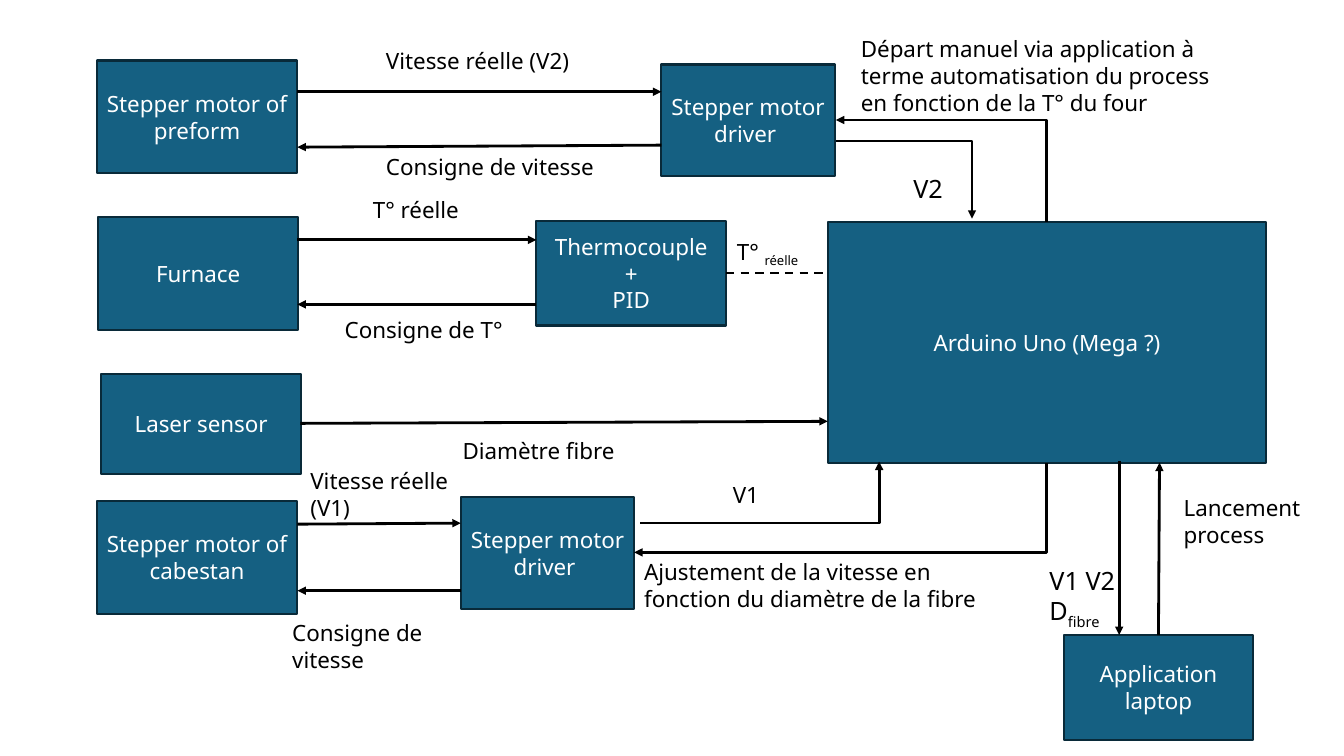
import pptx
import pptx.util
import pptx.dml.color
import pptx.enum.dml
import pptx.enum.shapes
import pptx.enum.text
import pptx.oxml.ns
import pptx.oxml.xmlchemy

Inches = pptx.util.Inches
Pt = pptx.util.Pt
qn = pptx.oxml.ns.qn
new_element = pptx.oxml.xmlchemy.OxmlElement
COLORS = {"box": "156082", "border": "092A39", "ink": "000000", "box_text": "FFFFFF"}
FONT = "Noto Sans"


def color(name):
    return pptx.dml.color.RGBColor.from_string(COLORS[name])


def style_runs(text_frame, size, ink):
    for paragraph in text_frame.paragraphs:
        for run in paragraph.runs:
            run.font.name = FONT
            run.font.size = Pt(size)
            run.font.color.rgb = color(ink)


deck = pptx.Presentation()
deck.slide_width = Inches(13.33)
deck.slide_height = Inches(7.5)
diagram = deck.slides.add_slide(deck.slide_layouts[6])

blocks = [
    ("Application laptop", 10.55, 6.3, 1.88, 1.04),
    ("Stepper motor of preform", 0.96, 0.6, 1.99, 1.12),
    ("Stepper motor of cabestan", 0.96, 4.97, 1.99, 1.12),
    ("Furnace", 0.97, 2.15, 1.99, 1.12),
    ("Laser sensor", 1, 3.71, 1.99, 0.99),
    ("Arduino Uno (Mega ?)", 8.21, 2.2, 4.35, 2.39),
    ("Stepper motor driver ", 4.57, 4.93, 1.72, 1.11),
    ("Thermocouple +\nPID", 5.32, 2.19, 1.88, 1.04),
    ("Stepper motor driver ", 6.56, 0.64, 1.72, 1.11),
]
for name, left, top, width, height in blocks:
    block = diagram.shapes.add_shape(
        pptx.enum.shapes.MSO_SHAPE.RECTANGLE,
        Inches(left), Inches(top), Inches(width), Inches(height))
    block.shadow.inherit = False
    block.fill.solid()
    block.fill.fore_color.rgb = color("box")
    block.line.color.rgb = color("border")
    block.line.width = Pt(1.5)
    block.text_frame.text = name
    block.text_frame.vertical_anchor = pptx.enum.text.MSO_ANCHOR.MIDDLE
    for paragraph in block.text_frame.paragraphs:
        paragraph.alignment = pptx.enum.text.PP_ALIGN.CENTER
    style_runs(block.text_frame, 16, "box_text")

signals = [
    ("straight", "tailEnd", 11.1, 4.57, 11.1, 6.3),
    ("straight", "tailEnd", 11.49, 6.3, 11.5, 4.59),
    ("straight", "tailEnd", 2.95, 5.2, 4.57, 5.19),
    ("straight", "tailEnd", 4.57, 5.86, 2.95, 5.86),
    ("straight", "tailEnd", 2.95, 2.38, 5.32, 2.38),
    ("straight", "tailEnd", 5.32, 3.02, 2.95, 3.02),
    ("straight", "tailEnd", 2.98, 4.2, 8.21, 4.18),
    ("straight", "tailEnd", 2.95, 0.91, 6.56, 0.91),
    ("straight", "tailEnd", 6.56, 1.44, 2.95, 1.46),
    ("straight", None, 7.2, 2.71, 8.17, 2.71),
    ("elbow", "headEnd", 8.29, 1.19, 10.38, 2.2),
    ("elbow", "headEnd", 6.29, 5.48, 10.38, 4.59),
    ("elbow", "tailEnd", 6.35, 5.19, 8.72, 4.58),
    ("elbow", "tailEnd", 8.29, 1.4, 9.64, 2.17),
]
routes = {
    "straight": pptx.enum.shapes.MSO_CONNECTOR.STRAIGHT,
    "elbow": pptx.enum.shapes.MSO_CONNECTOR.ELBOW,
}
for route, arrow_end, x1, y1, x2, y2 in signals:
    signal = diagram.shapes.add_connector(
        routes[route], Inches(x1), Inches(y1), Inches(x2), Inches(y2))
    signal.line.color.rgb = color("ink")
    properties = signal._element.spPr
    if route == "elbow":
        properties.find(qn("a:prstGeom")).set("prst", "bentConnector2")
    if arrow_end:
        signal.line.width = Pt(2)
        arrowhead = new_element("a:" + arrow_end)
        arrowhead.set("type", "triangle")
        properties.find(qn("a:ln")).append(arrowhead)
    else:
        signal.line.width = Pt(1.5)
        signal.line.dash_style = pptx.enum.dml.MSO_LINE.DASH
    properties.append(new_element("a:effectLst"))

labels = [
    ("Ajustement de la vitesse en fonction du diamètre de la fibre", "", 16, 6.29, 5.49, 3.88, 0.64),
    ("T° ", "réelle", 16, 7.21, 2.31, 1.45, 0.37),
    ("Vitesse réelle (V2)", "", 16, 3.73, 0.42, 2.85, 0.37),
    ("Départ manuel via application à terme automatisation du process en fonction de la T° du four",
     "", 16, 8.44, 0.3, 3.83, 0.91),
    ("T° réelle", "", 16, 3.6, 1.9, 1.07, 0.37),
    ("Consigne de vitesse", "", 16, 3.73, 1.47, 2.67, 0.37),
    ("Consigne de T°", "", 16, 3.32, 3.09, 1.99, 0.37),
    ("Diamètre fibre", "", 16, 4.49, 4.29, 2.16, 0.37),
    ("V1", "", 16, 7.17, 4.72, 1.7, 0.37),
    ("Consigne de vitesse", "", 16, 2.8, 6.09, 2.14, 0.37),
    ("Vitesse réelle (V1)", "", 16, 2.98, 4.59, 1.89, 0.64),
    ("Lancement process", "", 16, 11.64, 4.85, 1.62, 0.64),
    ("V1 V2 D", "fibre", 18, 10.31, 5.56, 1.19, 0.71),
    ("V2", "", 18, 8.96, 1.67, 0.64, 0.4),
]
for wording, subscript, size, left, top, width, height in labels:
    label = diagram.shapes.add_textbox(
        Inches(left), Inches(top), Inches(width), Inches(height))
    label.text_frame.word_wrap = True
    label.text_frame.text = wording
    if subscript:
        lowered = label.text_frame.paragraphs[0].add_run()
        lowered.text = subscript
        lowered.font._element.set("baseline", "-25000")
    style_runs(label.text_frame, size, "ink")

deck.save("out.pptx")
